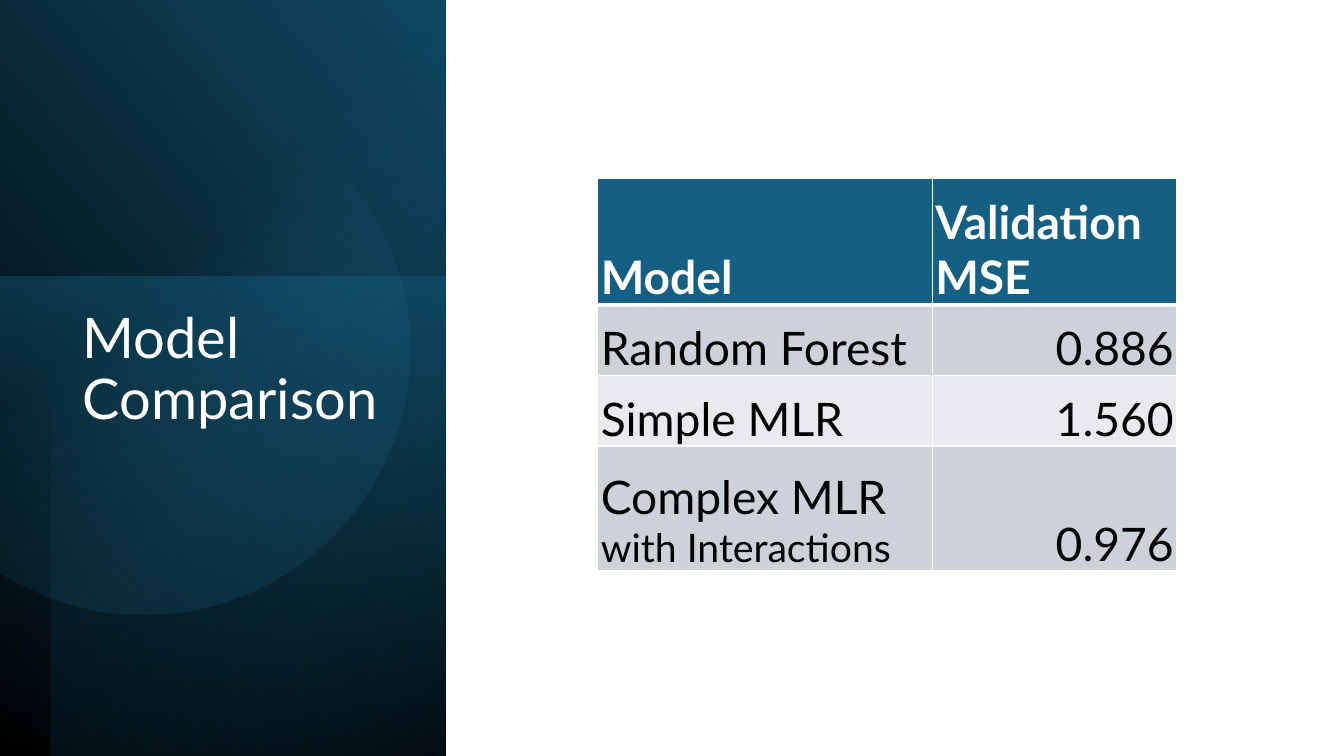
import math

import lxml.etree
import pptx
import pptx.dml.color
import pptx.enum.shapes
import pptx.enum.text
import pptx.oxml.ns
import pptx.util

Cm, Pt = pptx.util.Cm, pptx.util.Pt
RGBColor = pptx.dml.color.RGBColor
PP_ALIGN, MSO_ANCHOR = pptx.enum.text.PP_ALIGN, pptx.enum.text.MSO_ANCHOR
qn = pptx.oxml.ns.qn

BLACK = RGBColor(0x00, 0x00, 0x00)
WHITE = RGBColor(0xFF, 0xFF, 0xFF)
TEAL = RGBColor(0x15, 0x60, 0x82)
DEEP_TEAL = RGBColor(0x0B, 0x30, 0x41)
NAVY = RGBColor(0x10, 0x48, 0x62)
SKY = RGBColor(0x46, 0xB1, 0xE1)
BAND_DARK = RGBColor(0xCC, 0xD2, 0xD8)
BAND_LIGHT = RGBColor(0xE8, 0xEA, 0xED)


def fill_gradient(sp, stops, angle):
    """Fill with (position %, colour, opacity %) stops, without line or shadow."""
    sp.shadow.inherit = False
    sp.line.fill.background()
    sp.fill.gradient()
    grad = sp.fill._xPr.find(qn("a:gradFill"))
    grad.set("rotWithShape", "1")
    gs_list = grad.find(qn("a:gsLst"))
    for gs in list(gs_list):
        gs_list.remove(gs)
    for position, color, opacity in stops:
        gs = lxml.etree.SubElement(gs_list, qn("a:gs"), pos=str(position * 1000))
        clr = lxml.etree.SubElement(gs, qn("a:srgbClr"), val=str(color))
        lxml.etree.SubElement(clr, qn("a:alpha"), val=str(opacity * 1000))
    lin = grad.find(qn("a:lin"))
    lin.set("ang", str(angle * 60000))
    lin.set("scaled", "0")


def add_text(p, text, size, color, bold=False):
    r = p.add_run()
    r.text = text
    r.font.color.rgb = color
    for name, value in {"name": "Lato", "size": Pt(size), "bold": bold}.items():
        setattr(r.font, name, value)


prs = pptx.Presentation()
prs.slide_width, prs.slide_height = Cm(33.87), Cm(19.05)
s = prs.slides.add_slide(prs.slide_layouts[5])

# Side panel: left, top, width, height, rotation, flipped, stops, angle
PANELS = [
    (-3.94, 3.94, 19.1, 11.23, 90, True,
     [(0, BLACK, 100), (100, NAVY, 100)], 310),
    (-0.43, 7.39, 12.09, 11.23, 270, False,
     [(0, TEAL, 50), (100, DEEP_TEAL, 0)], 190),
    (-3.28, 4.55, 19.05, 9.96, 270, True,
     [(0, BLACK, 59), (69, TEAL, 0)], 220),
]
for left, top, width, height, rotation, flipped, stops, angle in PANELS:
    sp = s.shapes.add_shape(pptx.enum.shapes.MSO_SHAPE.RECTANGLE,
                            Cm(left), Cm(top), Cm(width), Cm(height))
    sp.rotation = rotation
    if flipped:
        sp.element.spPr.find(qn("a:xfrm")).set("flipH", "1")
    fill_gradient(sp, stops, angle)

# Circle cut off by the left edge of the slide
CENTER_X, CENTER_Y, RADIUS = 3.63, 8.81, 6.68
cut = math.acos(-CENTER_X / RADIUS)
STEPS = 120
arc = []
for i in range(STEPS + 1):
    a = cut * (2 * i / STEPS - 1)
    arc.append((Cm(CENTER_X + RADIUS * math.cos(a)),
                Cm(CENTER_Y + RADIUS * math.sin(a))))
builder = s.shapes.build_freeform(*arc[0])
builder.add_line_segments(arc[1:], close=True)
fill_gradient(builder.convert_to_shape(), [(39, SKY, 0), (100, NAVY, 26)], 52)

# Title, brought in front of the panel
title = s.shapes.title
s.shapes.element.append(title.element)
for name, value in {"left": 1.83, "top": 7.7, "width": 8, "height": 8.53}.items():
    setattr(title, name, Cm(value))
tf = title.text_frame
for name, value in {"word_wrap": True, "vertical_anchor": MSO_ANCHOR.TOP,
                    "auto_size": pptx.enum.text.MSO_AUTO_SIZE.NONE}.items():
    setattr(tf, name, value)
p = tf.paragraphs[0]
p.alignment, p.line_spacing = PP_ALIGN.LEFT, 0.9
add_text(p, "Model Comparison", 40, WHITE)

# Table
ROWS = [
    (["Model"], "Validation MSE"),
    (["Random Forest"], "0.886"),
    (["Simple MLR"], "1.560"),
    (["Complex MLR", "with Interactions"], "0.976"),
]
COLUMN_WIDTHS = [8.43, 6.17]
ROW_HEIGHTS = [3.18, 1.78, 1.78, 3.15]
CELL_FORMAT = {"margin_left": Cm(0.08), "margin_right": Cm(0.08),
               "margin_top": Cm(0.08), "margin_bottom": 0,
               "vertical_anchor": MSO_ANCHOR.BOTTOM}
table = s.shapes.add_table(len(ROWS), 2, Cm(15.06), Cm(4.5),
                           Cm(sum(COLUMN_WIDTHS)), Cm(sum(ROW_HEIGHTS))).table
for column, width in zip(table.columns, COLUMN_WIDTHS):
    column.width = Cm(width)
for row, height in zip(table.rows, ROW_HEIGHTS):
    row.height = Cm(height)

for i, (model_lines, mse) in enumerate(ROWS):
    header = i == 0
    for j, lines in enumerate([model_lines, [mse]]):
        cell = table.cell(i, j)
        for name, value in CELL_FORMAT.items():
            setattr(cell, name, value)

        tc_pr = cell._tc.get_or_add_tcPr()
        for side in "LRTB":
            under_header = (i, side) in [(0, "B"), (1, "T")]
            ln = lxml.etree.SubElement(tc_pr, qn("a:ln" + side),
                                       w=str(Pt(3 if under_header else 1)))
            solid = lxml.etree.SubElement(ln, qn("a:solidFill"))
            lxml.etree.SubElement(solid, qn("a:srgbClr"), val=str(WHITE))
        cell.fill.solid()
        cell.fill.fore_color.rgb = (
            TEAL if header else BAND_DARK if i % 2 else BAND_LIGHT)

        p = cell.text_frame.paragraphs[0]
        p.alignment = PP_ALIGN.RIGHT if j and not header else PP_ALIGN.LEFT
        for k, line in enumerate(lines):
            if k:
                p.add_line_break()
            add_text(p, line, 28 if k else 33, WHITE if header else BLACK, header)

prs.save("out.pptx")
